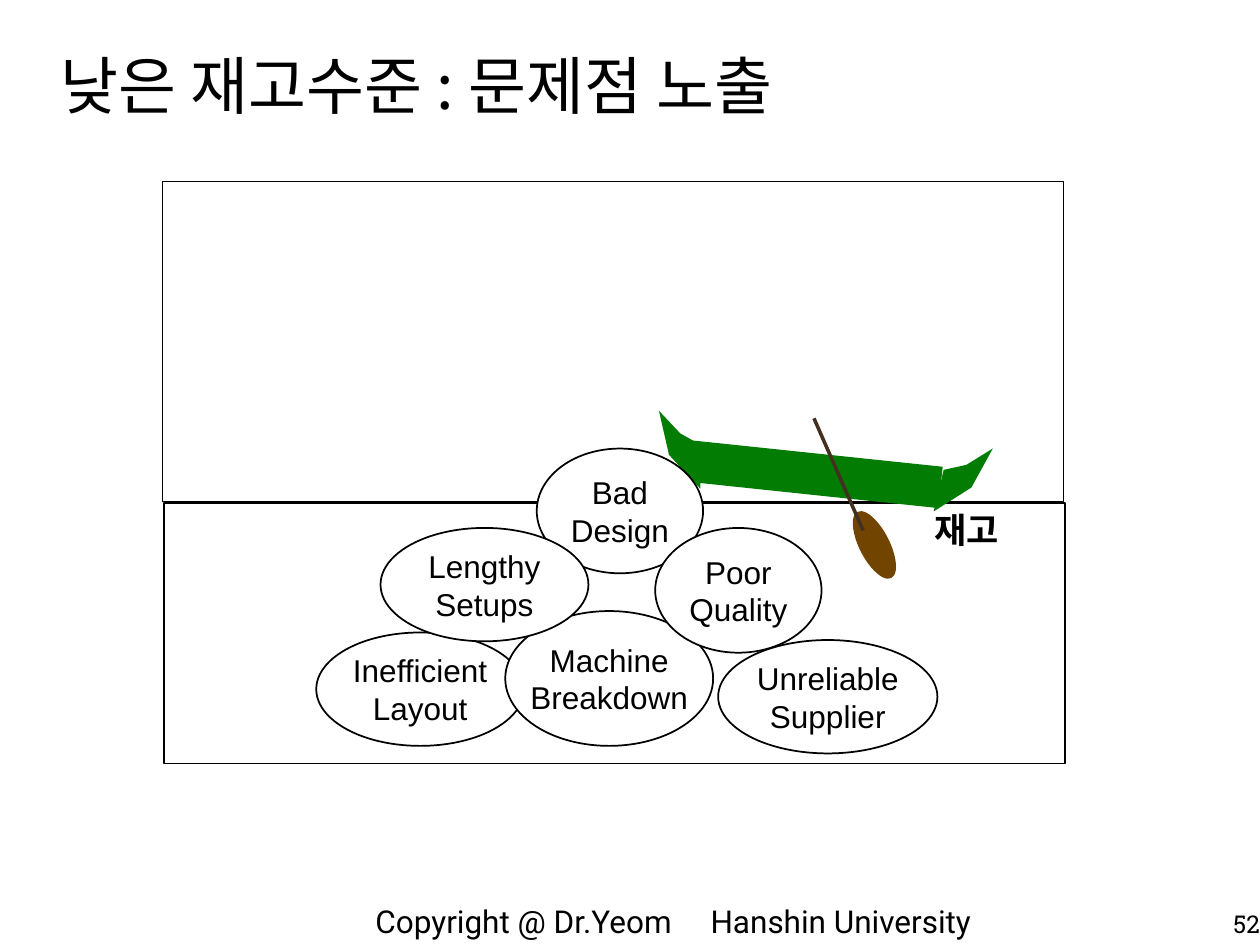
import pptx
import pptx.util
import pptx.dml.color
import pptx.enum.shapes
import pptx.enum.text
import pptx.oxml
import pptx.oxml.ns

Inches = pptx.util.Inches
Color = pptx.dml.color.RGBColor
Shape = pptx.enum.shapes.MSO_SHAPE
Align = pptx.enum.text.PP_ALIGN
Anchor = pptx.enum.text.MSO_ANCHOR

BLACK = Color(0x00, 0x00, 0x00)
WHITE = Color(0xFF, 0xFF, 0xFF)
GREEN = Color(0x03, 0x7C, 0x03)
BROWN = Color(0x71, 0x44, 0x00)
DARK = Color(0x43, 0x30, 0x21)

HANGUL = "Noto Sans CJK KR"
TITLE = {"name": HANGUL, "size": pptx.util.Pt(36)}
ROCK = {"name": "Arial", "size": pptx.util.Pt(18)}
STOCK = {"name": "Karla", "size": pptx.util.Pt(20), "bold": True}
FOOT = {"name": "Roboto", "size": pptx.util.Pt(18)}
PAGE = {"name": "Roboto Slab", "size": pptx.util.Pt(14)}

FRAMES = [(1.3, 3.99, 7.15, 2.07), (1.29, 1.44, 7.15, 2.54)]
BOW = [(7.41, 4.06), (7.71, 3.87), (7.88, 3.56), (7.67, 3.69), (7.49, 3.73)]
STERN = [(5.56, 3.88), (5.31, 3.61), (5.23, 3.26), (5.4, 3.44), (5.56, 3.53)]
ROCKS = [
    (("Inefficient", "Layout"), (2.51, 5.02, 1.65, 0.9)),
    (("Machine", "Breakdown"), (4.01, 4.85, 1.65, 1.07)),
    (("Unreliable", "Supplier"), (5.7, 5.08, 1.74, 0.9)),
    (("Bad", "Design"), (4.26, 3.56, 1.32, 0.99)),
    (("Lengthy", "Setups"), (3.02, 4.19, 1.65, 0.9)),
    (("Poor", "Quality"), (5.2, 4.19, 1.32, 0.99)),
]


def apply(thing, values):
    for key, value in values.items():
        setattr(thing, key, value)


def add_xml(parent, tag, **values):
    child = parent.makeelement(pptx.oxml.ns.qn(tag), values)
    parent.append(child)
    return child


class Board:
    def __init__(self, deck):
        self.slide = deck.slides.add_slide(deck.slide_layouts[5])
        self.shapes = self.slide.shapes
        self.frame = {"word_wrap": False, "auto_size": pptx.enum.text.MSO_AUTO_SIZE.NONE}

    def fill_text(self, shape, lines, font, align, anchor, tab=None, **frame):
        body = shape.text_frame
        apply(body, {**self.frame, "vertical_anchor": anchor, **frame})
        for place, line in enumerate(lines):
            part = body.add_paragraph() if place else body.paragraphs[0]
            part.alignment = align
            if tab:
                stops = add_xml(part._p.get_or_add_pPr(), "a:tabLst")
                add_xml(stops, "a:tab", pos=str(Inches(tab)), algn="l")
            run = part.add_run()
            run.text = line
            apply(run.font, font)
            run.font.color.rgb = BLACK
            add_xml(run._r.get_or_add_rPr(), "a:ea", typeface=HANGUL)

    def title(self, text, box):
        shape = self.shapes.title
        apply(shape, dict(zip(("left", "top", "width", "height"), map(Inches, box))))
        self.fill_text(shape, [text], TITLE, Align.LEFT, Anchor.BOTTOM, word_wrap=True)

    def label(self, text, box, font, align, anchor, **frame):
        shape = self.shapes.add_textbox(*map(Inches, box))
        self.fill_text(shape, [text], font, align, anchor, **frame)

    def paint(self, shape, fill, line):
        shape.shadow.inherit = False
        if fill is None:
            shape.fill.background()
        else:
            shape.fill.solid()
            shape.fill.fore_color.rgb = fill
        if line is None:
            shape.line.fill.background()
        else:
            shape.line.color.rgb = line
            shape.line.width = pptx.util.Pt(1)

    def shape(self, kind, box, fill=None, line=None, turn=0):
        shape = self.shapes.add_shape(kind, *map(Inches, box))
        shape.rotation = turn
        self.paint(shape, fill, line)
        return shape

    def rock(self, lines, box):
        shape = self.shape(Shape.OVAL, box, WHITE, BLACK)
        self.fill_text(shape, lines, ROCK, Align.CENTER, Anchor.MIDDLE)

    def outline(self, points, fill):
        spots = [(Inches(x), Inches(y)) for x, y in points]
        pen = self.shapes.build_freeform(*spots[0])
        pen.add_line_segments(spots[1:], close=True)
        self.paint(pen.convert_to_shape(), fill, None)

    def line(self, start, end, color):
        line = self.shapes.add_connector(
            pptx.enum.shapes.MSO_CONNECTOR.STRAIGHT, *map(Inches, start + end))
        line.line.color.rgb = color
        line.line.width = pptx.util.Pt(2)
        add_xml(line._element.spPr, "a:effectLst")


def main():
    deck = pptx.Presentation()
    apply(deck, {"slide_width": Inches(10), "slide_height": Inches(7.5)})
    board = Board(deck)
    board.title("낮은 재고수준 : 문제점 노출", (0.38, 0.29, 9.34, 0.73))
    board.label("Copyright @ Dr.Yeom\tHanshin University", (2.98, 7.11, 4.8, 0.39),
                FOOT, Align.LEFT, Anchor.MIDDLE, tab=2.66,
                margin_left=0, margin_right=0, word_wrap=True)
    board.label("52", (8.83, 7.17, 1.17, 0.33), PAGE, Align.RIGHT, Anchor.BOTTOM,
                margin_right=0, word_wrap=True)
    for box in FRAMES:
        board.shape(Shape.RECTANGLE, box, line=BLACK)
    board.label("재고", (7.27, 3.99, 0.8, 0.45), STOCK, Align.CENTER, Anchor.TOP)
    for points in (BOW, STERN):
        board.outline(points, GREEN)
    board.shape(Shape.RECTANGLE, (5.48, 3.6, 1.99, 0.33), GREEN, turn=6)
    board.shape(Shape.OVAL, (6.82, 4.03, 0.24, 0.59), BROWN, turn=333)
    board.line((6.46, 3.32), (6.85, 4.21), DARK)
    for lines, box in ROCKS:
        board.rock(lines, box)
    deck.save("out.pptx")


if __name__ == "__main__":
    main()
